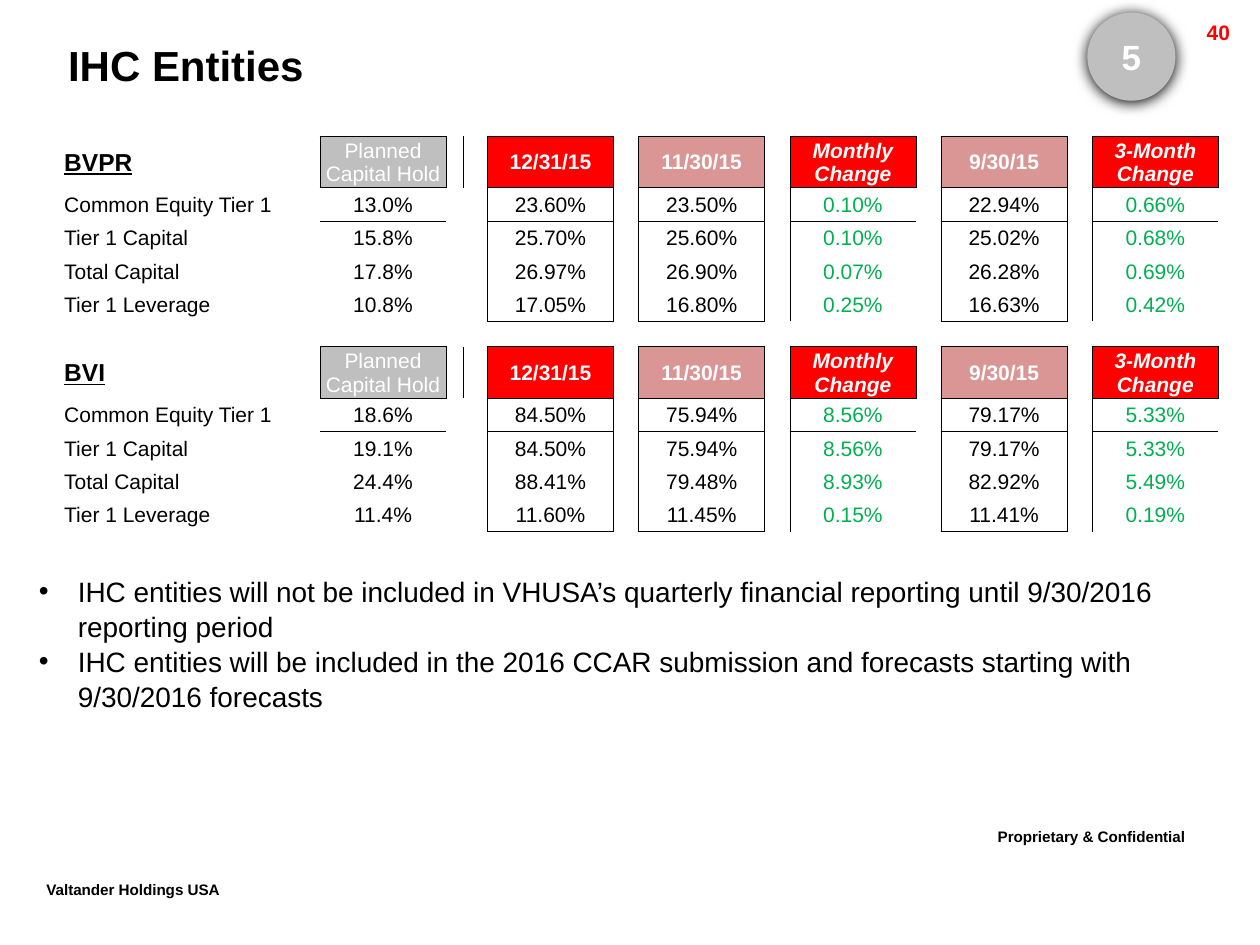
from dataclasses import dataclass

from lxml.etree import SubElement
from pptx import Presentation
from pptx.dml.color import RGBColor
from pptx.enum.shapes import MSO_SHAPE as Shape
from pptx.enum.text import MSO_ANCHOR as Anchor, PP_ALIGN as Align
from pptx.oxml.ns import qn
from pptx.util import Inches, Pt


@dataclass(frozen=True)
class Theme:
    font: str = "Arial"
    black: str = "000000"
    white: str = "FFFFFF"
    red: str = "FF0000"
    rose: str = "DA9694"
    gray: str = "BFBFBF"
    green: str = "00B050"
    title: int = 24
    badge: int = 20
    bullet: int = 16
    footer: int = 15
    entity: int = 14
    body: int = 12
    spacer: int = 6
    border: float = 0.5


THEME = Theme()
NO_GRID_STYLE = "{2D5ABB26-0587-4C30-8999-92F81FD0307C}"

HEADERS = [
    ("Planned Capital Hold", THEME.gray, dict(color=THEME.white)),
    ("12/31/15", THEME.red, dict(color=THEME.white, bold=True)),
    ("11/30/15", THEME.rose, dict(color=THEME.white, bold=True)),
    ("Monthly Change", THEME.red, dict(color=THEME.white, bold=True, italic=True)),
    ("9/30/15", THEME.rose, dict(color=THEME.white, bold=True)),
    ("3-Month Change", THEME.red, dict(color=THEME.white, bold=True, italic=True)),
]
VALUE_COLUMNS = [1, 4, 6, 8, 10, 12]
DATE_COLUMNS = {4, 6, 10}
CHANGE_COLUMNS = {8, 12}
COLUMN_WIDTHS = [2.04, 1, 0.14, 0.19, 1] + [0.2, 1] * 4

RATIOS = ["Common Equity Tier 1", "Tier 1 Capital", "Total Capital", "Tier 1 Leverage"]
ENTITIES = {
    "BVPR": [
        ["13.0%", "23.60%", "23.50%", "0.10%", "22.94%", "0.66%"],
        ["15.8%", "25.70%", "25.60%", "0.10%", "25.02%", "0.68%"],
        ["17.8%", "26.97%", "26.90%", "0.07%", "26.28%", "0.69%"],
        ["10.8%", "17.05%", "16.80%", "0.25%", "16.63%", "0.42%"],
    ],
    "BVI": [
        ["18.6%", "84.50%", "75.94%", "8.56%", "79.17%", "5.33%"],
        ["19.1%", "84.50%", "75.94%", "8.56%", "79.17%", "5.33%"],
        ["24.4%", "88.41%", "79.48%", "8.93%", "82.92%", "5.49%"],
        ["11.4%", "11.60%", "11.45%", "0.15%", "11.41%", "0.19%"],
    ],
}
BLOCK_ROWS = len(RATIOS) + 2
HEADER_HEIGHT, RATIO_HEIGHT, SPACER_HEIGHT = 0.41, 1.06 / 4, 0.2
NOTES = [
    "IHC entities will not be included in VHUSA’s quarterly financial reporting until 9/30/2016 reporting period",
    "IHC entities will be included in the 2016 CCAR submission and forecasts starting with 9/30/2016 forecasts",
]


def write(paragraph, text, size=THEME.body, color=THEME.black, bold=False, italic=False,
          underline=False, align=Align.LEFT, baseline=None):
    paragraph.alignment = align
    run = paragraph.add_run()
    run.text = text
    font = run.font
    font.name, font.size = THEME.font, Pt(size)
    font.bold, font.italic, font.underline = bold, italic, underline
    font.color.rgb = RGBColor.from_string(color)
    if baseline:
        run._r.get_or_add_rPr().set("baseline", str(baseline * 1000))


def add_text(slide, box, text, anchor=Anchor.TOP, wrap=True, **style):
    frame = slide.shapes.add_textbox(*map(Inches, box)).text_frame
    frame.word_wrap, frame.vertical_anchor = wrap, anchor
    write(frame.paragraphs[0], text, **style)


def add_title(slide, box, text):
    title = slide.shapes.title
    title.left, title.top, title.width, title.height = map(Inches, box)
    title.text_frame.vertical_anchor = Anchor.TOP
    write(title.text_frame.paragraphs[0], text, size=THEME.title, bold=True)


def add_badge(slide, box, number):
    disc = slide.shapes.add_shape(Shape.OVAL, *map(Inches, box))
    disc.shadow.inherit = False
    disc.fill.solid()
    disc.fill.fore_color.rgb = RGBColor.from_string(THEME.gray)
    disc.line.fill.background()
    effects = disc._element.spPr.find(qn("a:effectLst"))
    shadow = SubElement(effects, qn("a:outerShdw"), blurRad=str(Pt(8.5)), dist=str(Pt(1)),
                        dir="5400000", algn="ctr", rotWithShape="0")
    SubElement(shadow, qn("a:srgbClr"), val=THEME.black)
    left, top, width, height = box
    add_text(slide, (left + 0.15, top + 0.13, width - 0.3, height - 0.26), number,
             anchor=Anchor.MIDDLE, size=THEME.badge, color=THEME.white, bold=True,
             align=Align.CENTER)


def frame_of(row, column):
    block, line = divmod(row, BLOCK_ROWS)
    if line == 0 and column in VALUE_COLUMNS:
        return row, column
    if 0 < line <= len(RATIOS) and column in DATE_COLUMNS:
        return "body", block, column
    return None


def draw_borders(cell, row, column):
    neighbours = {"a:lnL": (row, column - 1), "a:lnR": (row, column + 1),
                  "a:lnT": (row - 1, column), "a:lnB": (row + 1, column)}
    for side, neighbour in neighbours.items():
        if frame_of(row, column) != frame_of(*neighbour):
            line = SubElement(cell._tc.get_or_add_tcPr(), qn(side), w=str(Pt(THEME.border)))
            fill = SubElement(line, qn("a:solidFill"))
            SubElement(fill, qn("a:srgbClr"), val=THEME.black)


def cell_contents():
    for block, (entity, ratios) in enumerate(ENTITIES.items()):
        top = block * BLOCK_ROWS
        yield top, 0, entity, None, dict(size=THEME.entity, bold=True, underline=True)
        for column, (header, fill, style) in zip(VALUE_COLUMNS, HEADERS):
            yield top, column, header, fill, dict(style, align=Align.CENTER)
        for row, (label, values) in enumerate(zip(RATIOS, ratios), top + 1):
            yield row, 0, label, None, {}
            for column, value in zip(VALUE_COLUMNS, values):
                color = THEME.green if column in CHANGE_COLUMNS else THEME.black
                yield row, column, value, None, dict(color=color, align=Align.CENTER)


def add_capital_table(slide, box):
    block_heights = [HEADER_HEIGHT] + [RATIO_HEIGHT] * len(RATIOS)
    heights = block_heights + [SPACER_HEIGHT] + block_heights
    table_frame = slide.shapes.add_table(len(heights), len(COLUMN_WIDTHS), *map(Inches, box))
    table = table_frame.table
    table._tbl.tblPr.find(qn("a:tableStyleId")).text = NO_GRID_STYLE
    table.first_row = table.horz_banding = False
    for column, width in zip(table.columns, COLUMN_WIDTHS):
        column.width = Inches(width)
    for row, height in zip(table.rows, heights):
        row.height = Inches(height)

    contents = {(row, column): rest for row, column, *rest in cell_contents()}
    for row in range(len(heights)):
        for column in range(len(COLUMN_WIDTHS)):
            cell = table.cell(row, column)
            cell.margin_left = cell.margin_right = cell.margin_top = Inches(0.01)
            cell.margin_bottom = 0
            cell.vertical_anchor = Anchor.MIDDLE
            draw_borders(cell, row, column)
            text, fill, style = contents.get((row, column), (None, None, {}))
            paragraph = cell.text_frame.paragraphs[0]
            if text:
                write(paragraph, text, **style)
            else:
                SubElement(paragraph._p, qn("a:endParaRPr"), sz=str(THEME.spacer * 100))
            if fill:
                cell.fill.solid()
                cell.fill.fore_color.rgb = RGBColor.from_string(fill)
            else:
                cell.fill.background()


def add_notes_list(slide, box, notes):
    frame = slide.shapes.add_textbox(*map(Inches, box)).text_frame
    frame.word_wrap = True
    for index, note in enumerate(notes):
        paragraph = frame.add_paragraph() if index else frame.paragraphs[0]
        paragraph.line_spacing = 1.04
        properties = paragraph._p.get_or_add_pPr()
        properties.set("marL", str(Inches(0.31)))
        properties.set("indent", str(-Inches(0.31)))
        SubElement(properties, qn("a:buFont"), typeface=THEME.font)
        SubElement(properties, qn("a:buChar"), char="•")
        write(paragraph, note, size=THEME.bullet)


def add_page_furniture(slide, page_number):
    footer = dict(size=THEME.footer, bold=True, baseline=30)
    add_text(slide, (7.82, 6.49, 2.18, 0.35), "Proprietary & Confidential", **footer)
    add_text(slide, (0.27, 6.91, 1.91, 0.35), "Valtander Holdings USA", wrap=False, **footer)
    add_text(slide, (8.91, 0.11, 0.95, 0.24), page_number, color=THEME.red, bold=True,
             align=Align.RIGHT)


def main():
    deck = Presentation()
    deck.slide_width, deck.slide_height = Inches(10), Inches(7.5)
    slide = deck.slides.add_slide(deck.slide_layouts[5])
    add_page_furniture(slide, "40")
    add_title(slide, (0.44, 0.26, 9.72, 0.5), "IHC Entities")
    add_capital_table(slide, (0.5, 1.08, 9.17, 3.14))
    add_notes_list(slide, (0.21, 4.5, 9.33, 1.18), NOTES)
    add_badge(slide, (8.63, 0.1, 0.7, 0.7), "5")
    deck.save("out.pptx")


if __name__ == "__main__":
    main()
